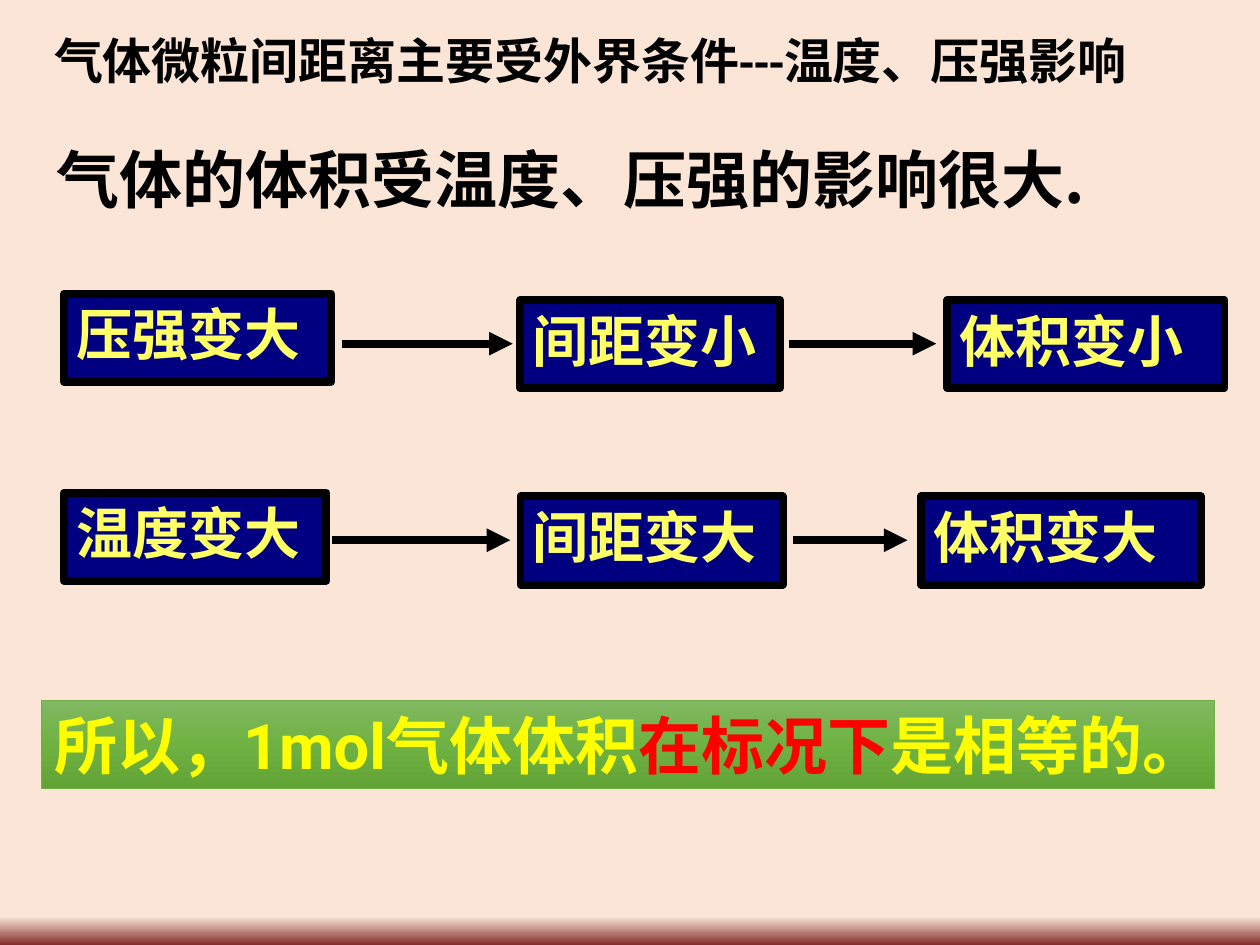
from dataclasses import dataclass

from lxml.etree import SubElement
from pptx import Presentation
from pptx.dml.color import RGBColor
from pptx.enum.dml import MSO_THEME_COLOR
from pptx.enum.shapes import MSO_CONNECTOR, MSO_SHAPE
from pptx.enum.text import MSO_ANCHOR, PP_ALIGN
from pptx.oxml.ns import qn
from pptx.util import Pt

EAST_ASIAN_FONT = "Roboto"
BOX_HEIGHT = 50.4
BLACK = "000000"
NAVY = "000080"
PALE_YELLOW = "FFFF66"
YELLOW = "FFFF00"
RED = "FF0000"


@dataclass
class TextRun:
    text: str
    color: str


@dataclass
class Step:
    text: str
    left: float
    top: float
    width: float


@dataclass
class Arrow:
    start: float
    end: float
    y: float


STEPS = [
    Step("压强变大", 36.7, 167.8, 152.6),
    Step("间距变小", 297.4, 171.4, 148.3),
    Step("体积变小", 541.4, 171.4, 158.4),
    Step("温度变大", 36.7, 281.5, 149.8),
    Step("间距变大", 297.4, 283.7, 149.8),
    Step("体积变大", 526.3, 283.7, 159.8),
]
ARROWS = [
    Arrow(195.6, 293, 196.4),
    Arrow(450.7, 535, 196.4),
    Arrow(190, 291.6, 308.7),
    Arrow(452.9, 518.6, 308.7),
]


def color(value: str) -> RGBColor:
    return RGBColor.from_string(value)


def set_gradient(fill, element, stops: list[tuple[int, str]]) -> None:
    fill.gradient()
    fill.gradient_angle = 270
    stop_list = next(element.iter(qn("a:gsLst")))
    for stop in list(stop_list):
        stop_list.remove(stop)
    for position, value in stops:
        stop = SubElement(stop_list, qn("a:gs"), pos=str(position * 1000))
        SubElement(stop, qn("a:srgbClr"), val=value)


def write_text(shape, runs: list[TextRun], size: float, font_name: str) -> None:
    frame = shape.text_frame
    frame.word_wrap = True
    frame.vertical_anchor = MSO_ANCHOR.TOP
    paragraph = frame.paragraphs[0]
    paragraph.alignment = PP_ALIGN.LEFT
    for item in runs:
        run = paragraph.add_run()
        run.text = item.text
        run.font.size = Pt(size)
        run.font.bold = True
        run.font.name = font_name
        run.font.color.rgb = color(item.color)
        properties = run.font._element if hasattr(run.font, "_element") else run._r.get_or_add_rPr()
        SubElement(properties, qn("a:ea"), typeface=EAST_ASIAN_FONT)


def add_heading(slide, text: str, bounds: tuple, size: float, font_name: str) -> None:
    shape = slide.shapes.add_textbox(*map(Pt, bounds))
    write_text(shape, [TextRun(text, BLACK)], size, font_name)


def add_box(slide, bounds: tuple, line_color: str, line_width: float):
    shape = slide.shapes.add_shape(MSO_SHAPE.RECTANGLE, *map(Pt, bounds))
    shape.shadow.inherit = False
    shape.line.color.rgb = color(line_color)
    shape.line.width = Pt(line_width)
    return shape


def add_step(slide, step: Step) -> None:
    shape = add_box(slide, (step.left, step.top, step.width, BOX_HEIGHT), BLACK, 4.5)
    shape.fill.solid()
    shape.fill.fore_color.rgb = color(NAVY)
    write_text(shape, [TextRun(step.text, PALE_YELLOW)], 32, "Roboto")


def add_arrow(slide, arrow: Arrow) -> None:
    connector = slide.shapes.add_connector(
        MSO_CONNECTOR.STRAIGHT, Pt(arrow.start), Pt(arrow.y), Pt(arrow.end), Pt(arrow.y)
    )
    connector.line.color.rgb = color(BLACK)
    connector.line.width = Pt(4.5)
    SubElement(connector.line._get_or_add_ln(), qn("a:tailEnd"), type="triangle")
    SubElement(connector._element.spPr, qn("a:effectLst"))


def add_conclusion(slide) -> None:
    shape = add_box(slide, (23.8, 400.3, 670.3, BOX_HEIGHT), "70AD47", 0.5)
    set_gradient(shape.fill, shape._element, [(0, "81B861"), (50, "6FB242"), (100, "62A336")])
    runs = [
        TextRun("所以，1mol气体体积", YELLOW),
        TextRun("在标况下", RED),
        TextRun("是相等的。", YELLOW),
    ]
    write_text(shape, runs, 36, "Roboto")


def main() -> None:
    presentation = Presentation()
    presentation.slide_width = Pt(720)
    presentation.slide_height = Pt(540)
    slide = presentation.slides.add_slide(presentation.slide_layouts[6])
    set_gradient(slide.background.fill, slide._element, [(97, "FBE5D6"), (100, "832B2B")])
    add_heading(
        slide, "气体的体积受温度、压强的影响很大.", (25.2, 77, 674.6, 51.1), 36, "Noto Sans CJK SC"
    )
    for step in STEPS:
        add_step(slide, step)
    for arrow in ARROWS:
        add_arrow(slide, arrow)
    add_conclusion(slide)
    add_heading(
        slide, "气体微粒间距离主要受外界条件---温度、压强影响", (23.8, 13.7, 663.1, 41), 28, "Calibri"
    )
    presentation.save("out.pptx")


if __name__ == "__main__":
    main()
